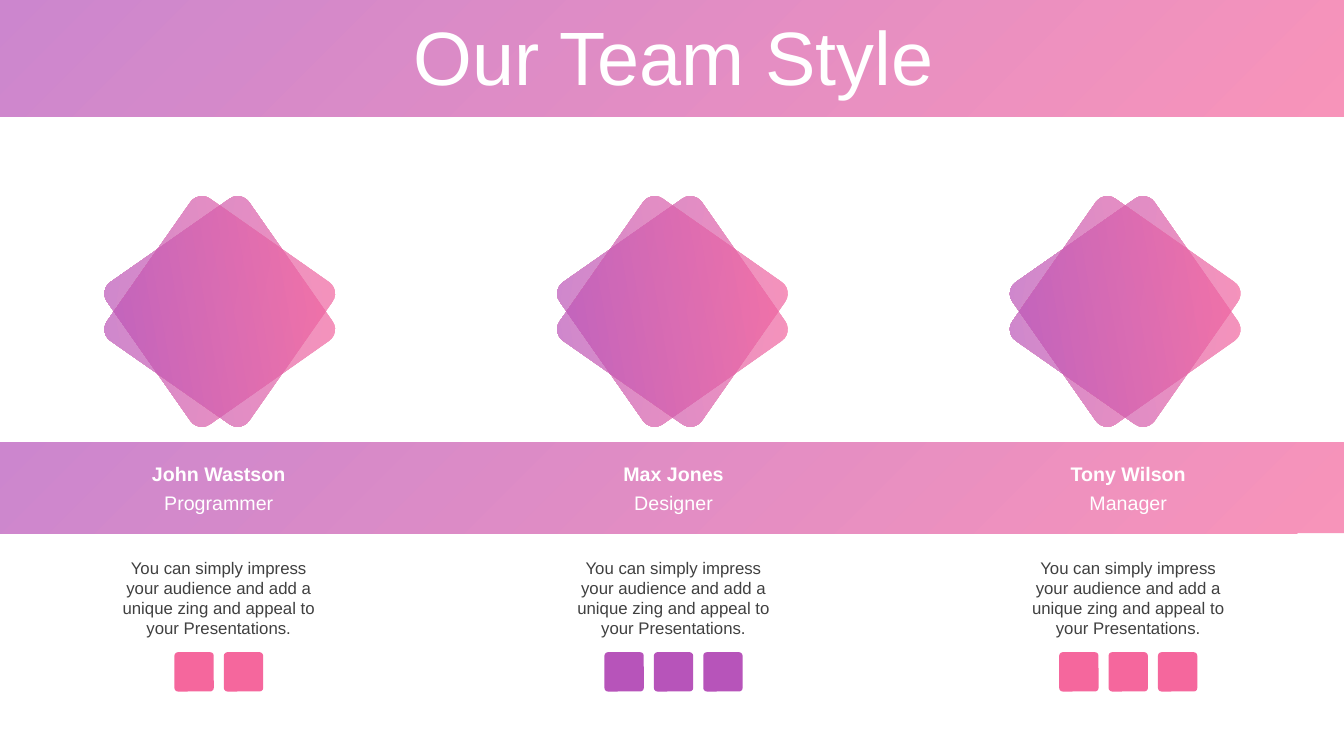
from pptx import Presentation
from pptx.dml.color import RGBColor
from pptx.enum.shapes import MSO_SHAPE as Shape
from pptx.enum.text import MSO_ANCHOR as Anchor, PP_ALIGN as Align
from pptx.oxml.ns import qn
from pptx.oxml.xmlchemy import OxmlElement
from pptx.util import Inches, Pt

TITLE = "Our Team Style"
BLURB = ("You can simply impress your audience and add a unique zing "
         "and appeal to your Presentations.")
# name, role, icon colour, icons (the first is always the envelope)
TEAM = [
    ("John Wastson", "Programmer", "pink", 2),
    ("Max Jones", "Designer", "purple", 3),
    ("Tony Wilson", "Manager", "pink", 3),
]
THEME = {
    "font": "Arial",
    "pink": "F5679D", "purple": "B754BA", "white": "FFFFFF", "text": "404040",
    "opacity": 70,
    "title_size": 54, "name_size": 14, "blurb_size": 12,
}

PAGE_WIDTH, PAGE_HEIGHT = 13.33, 7.5
FIRST_CENTER, COLUMN_PITCH, COLUMN_WIDTH = 2.17, 4.51, 2.25
DIAMOND_CENTER, DIAMOND_PITCH = 2.18, 4.49
DIAMOND_MIDDLE, DIAMOND_SIZE = 3.09, 1.72
ICON_TOP, ICON_SIZE, ICON_PITCH = 6.47, 0.39, 0.49
ENVELOPE = [
    [(0.06, 0.10), (0.20, 0.22), (0.33, 0.10)],
    [(0.06, 0.12), (0.06, 0.28), (0.15, 0.20)],
    [(0.33, 0.12), (0.24, 0.20), (0.33, 0.28)],
    [(0.06, 0.29), (0.16, 0.20), (0.20, 0.24), (0.24, 0.20), (0.33, 0.29)],
]


def color(name):
    return RGBColor.from_string(THEME[name])


def fill_plain(shape, name):
    shape.shadow.inherit = False
    shape.line.fill.background()
    shape.fill.solid()
    shape.fill.fore_color.rgb = color(name)


def fill_gradient(shape):
    """Translucent fade from pink to purple."""
    shape.shadow.inherit = False
    shape.line.fill.background()
    shape.fill.gradient()
    shape.fill.gradient_angle = 135
    for stop, name in zip(shape.fill.gradient_stops, ("pink", "purple")):
        stop.color.rgb = color(name)
    for node in shape._element.iter(qn("a:srgbClr")):
        alpha = OxmlElement("a:alpha")
        alpha.set("val", str(THEME["opacity"] * 1000))
        node.append(alpha)


def add_block(page, kind, left, top, width, height):
    return page.shapes.add_shape(
        kind, Inches(left), Inches(top), Inches(width), Inches(height))


def add_text(page, text, area, size, ink, bold=False, anchor=Anchor.MIDDLE):
    box = page.shapes.add_textbox(*map(Inches, area))
    frame = box.text_frame
    frame.word_wrap = True
    frame.vertical_anchor = anchor
    frame.text = text
    para = frame.paragraphs[0]
    para.alignment = Align.CENTER
    font = para.runs[0].font
    font.name, font.size, font.bold = THEME["font"], Pt(THEME[size]), bold
    font.color.rgb = color(ink)
    return para


def add_band(page, top, height):
    fill_gradient(add_block(page, Shape.RECTANGLE, 0, top, PAGE_WIDTH, height))


def add_diamond(page, center):
    """Two rounded squares turned to either side of a diamond."""
    for angle in (325, 305):
        square = add_block(page, Shape.ROUNDED_RECTANGLE,
                           center - DIAMOND_SIZE / 2,
                           DIAMOND_MIDDLE - DIAMOND_SIZE / 2,
                           DIAMOND_SIZE, DIAMOND_SIZE)
        square.adjustments[0] = 0.08
        square.rotation = angle
        fill_gradient(square)


def add_envelope(page, left, top):
    contours = [[(left + x, top + y) for x, y in part] for part in ENVELOPE]
    builder = page.shapes.build_freeform(*contours[0][0], scale=Inches(1))
    builder.add_line_segments(contours[0][1:], close=True)
    for start, *rest in contours[1:]:
        builder.move_to(*start)
        builder.add_line_segments(rest, close=True)
    fill_plain(builder.convert_to_shape(), "white")


def add_icons(page, center, count, ink):
    left = center - ((count - 1) * ICON_PITCH + ICON_SIZE) / 2
    for index in range(count):
        tile = add_block(page, Shape.ROUNDED_RECTANGLE,
                         left + index * ICON_PITCH, ICON_TOP,
                         ICON_SIZE, ICON_SIZE)
        tile.adjustments[0] = 0.09
        fill_plain(tile, ink)
    add_envelope(page, left, ICON_TOP)


def main():
    deck = Presentation()
    deck.slide_width, deck.slide_height = Inches(PAGE_WIDTH), Inches(PAGE_HEIGHT)
    page = deck.slides.add_slide(deck.slide_layouts[6])

    add_band(page, 0, 1.16)
    title = add_text(page, TITLE, (0.35, 0.21, 12.66, 0.79), "title_size", "white")
    title.line_spacing = 0.9
    add_band(page, 4.39, 0.9)

    for index, (name, role, ink, icon_count) in enumerate(TEAM):
        center = FIRST_CENTER + index * COLUMN_PITCH
        left = center - COLUMN_WIDTH / 2
        add_diamond(page, DIAMOND_CENTER + index * DIAMOND_PITCH)
        add_text(page, name, (left, 4.56, COLUMN_WIDTH, 0.27),
                 "name_size", "white", bold=True)
        add_text(page, role, (left, 4.85, COLUMN_WIDTH, 0.27),
                 "name_size", "white")
        add_text(page, BLURB, (left, 5.48, COLUMN_WIDTH, 0.91),
                 "blurb_size", "text", anchor=Anchor.TOP)
        add_icons(page, center, icon_count, ink)

    deck.save("out.pptx")


if __name__ == "__main__":
    main()
